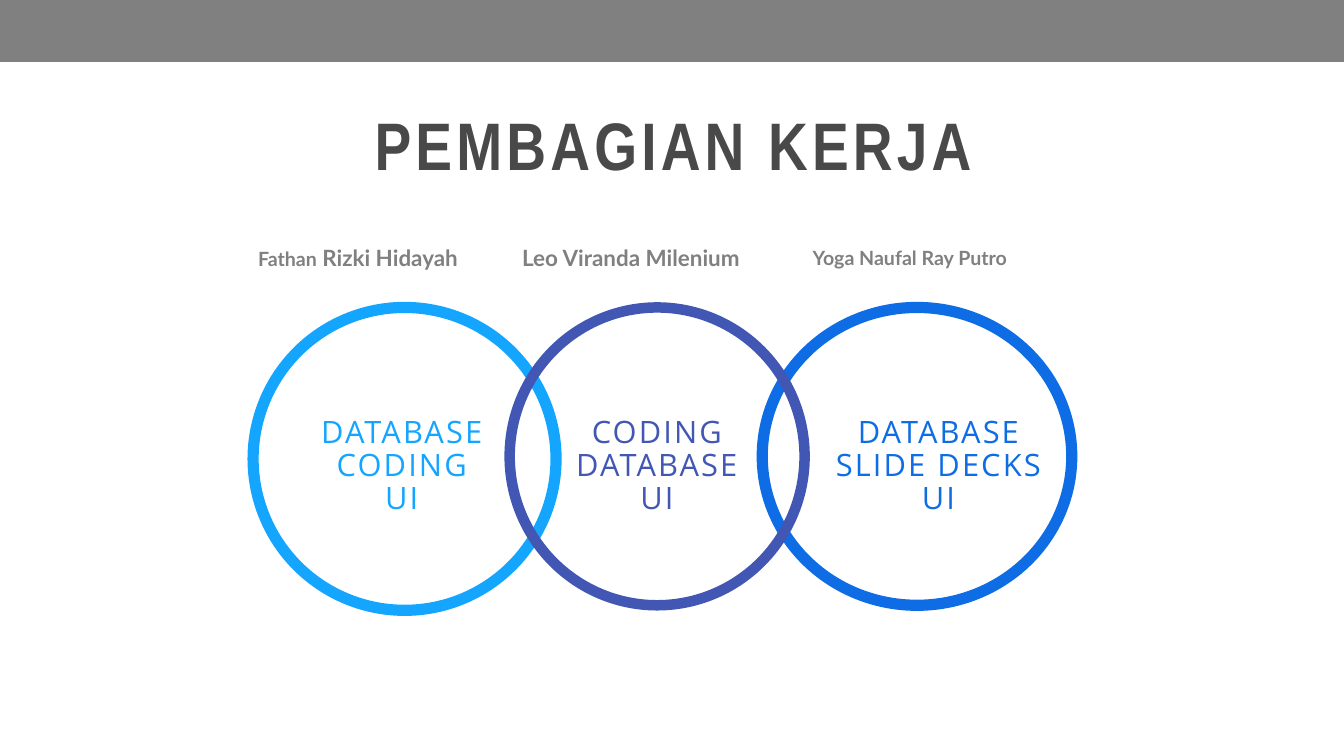
from pptx import Presentation
from pptx.dml.color import RGBColor
from pptx.enum.shapes import MSO_SHAPE
from pptx.enum.text import PP_ALIGN
from pptx.util import Pt

PX = 9144
RECTANGLE = MSO_SHAPE.RECTANGLE
OVAL = MSO_SHAPE.OVAL
LEFT = PP_ALIGN.LEFT
CENTER = PP_ALIGN.CENTER
WHITE = RGBColor(0xFF, 0xFF, 0xFF)
GRAY = RGBColor(0x80, 0x80, 0x80)
CHARCOAL = RGBColor(0x49, 0x49, 0x49)
SKY = RGBColor(0x14, 0xA5, 0xFF)
INDIGO = RGBColor(0x41, 0x57, 0xB3)
BLUE = RGBColor(0x0E, 0x6D, 0xE5)

presentation = Presentation()
presentation.slide_width = 2666 * PX
presentation.slide_height = 1500 * PX
slide = presentation.slides.add_slide(presentation.slide_layouts[6])


def add_shape(kind, left, top, width, height):
    shape = slide.shapes.add_shape(kind, left * PX, top * PX, width * PX, height * PX)
    shape.shadow.inherit = False
    return shape


def add_text(box, lines, font_name, size, color, align=LEFT, bold=False, tracking=0, spacing=1.0):
    left, top, width, height = [length * PX for length in box]
    text_frame = slide.shapes.add_textbox(left, top, width, height).text_frame
    text_frame.word_wrap = True
    text_frame.text = "\n".join(lines)
    for paragraph in text_frame.paragraphs:
        paragraph.alignment = align
        paragraph.line_spacing = spacing
        paragraph.font.name = font_name
        paragraph.font.size = Pt(size)
        paragraph.font.bold = bold
        paragraph.font.color.rgb = color
        if tracking:
            for run in paragraph.runs:
                run._r.get_or_add_rPr().set("spc", str(tracking * 100))
    return text_frame


banner = add_shape(RECTANGLE, 0, 0, 2666, 123)
banner.fill.solid()
banner.fill.fore_color.rgb = GRAY
banner.line.fill.background()

rings = [
    (1512, 614, 591, BLUE, 16, False),
    (502, 601, 601, SKY, 16, True),
    (1011, 585, 591, INDIGO, 15, False),
]
for left, width, height, color, weight, filled in rings:
    ring = add_shape(OVAL, left, 610, width, height)
    if filled:
        ring.fill.solid()
        ring.fill.fore_color.rgb = WHITE
    else:
        ring.fill.background()
    ring.line.color.rgb = color
    ring.line.width = Pt(weight)

tasks = [
    (545, 504, 300, SKY, ["DATABASE", "CODING", "UI"]),
    (1012, 582, 306, INDIGO, ["CODING", "DATABASE", "UI"]),
    (1602, 519, 232, BLUE, ["DATABASE", "SLIDE DECKS", "UI"]),
]
for left, width, height, color, lines in tasks:
    add_text((left, 823, width, height), lines, "Open Sans", 44, color, CENTER, tracking=3, spacing=0.89)

add_text((38, 200, 2596, 172), ["PEMBAGIAN KERJA"], "Arial Narrow", 96, CHARCOAL, CENTER, True, 6)

members = [
    ((1026, 480, 564, 64), "Leo Viranda Milenium", 32),
    ((502, 480, 547, 64), "Fathan", 28),
    ((1602, 483, 557, 57), "Yoga Naufal Ray Putro", 28),
]
for box, name, size in members:
    name_frame = add_text(box, [name], "Lato", size, GRAY, bold=True)
    if name == "Fathan":
        surname = name_frame.paragraphs[0].add_run()
        surname.text = " Rizki Hidayah"
        surname.font.size = Pt(32)

presentation.save("out.pptx")
